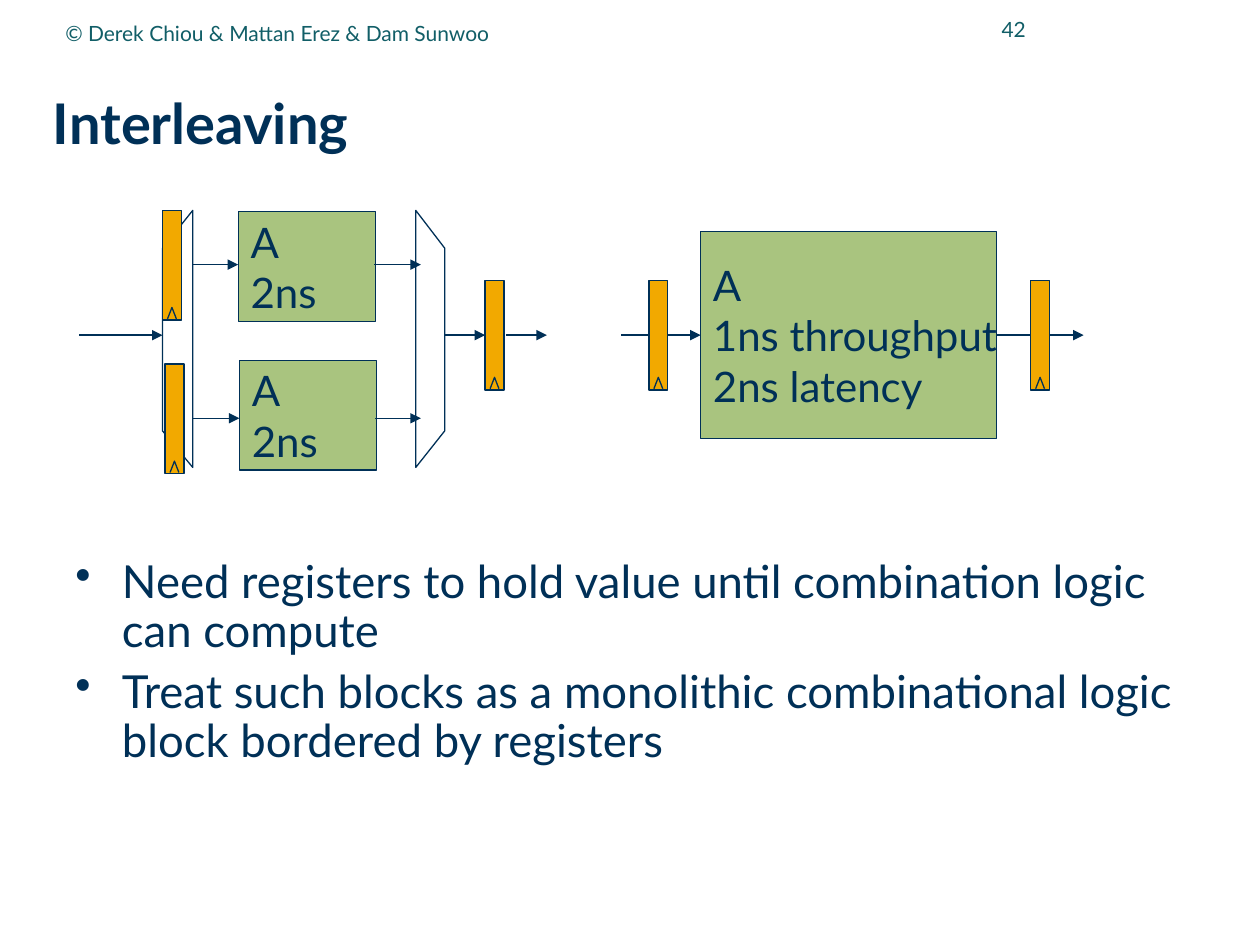
from dataclasses import dataclass
from typing import Optional

from pptx import Presentation, util as u
from pptx.dml.color import RGBColor
from pptx.enum import shapes, text
from pptx.oxml.ns import qn
from lxml import etree

COLORS = {"navy": "003057", "teal": "115E67", "green": "A9C47F", "gold": "F2A900"}
FONT = "Lato"
GRID = u.Inches(0.1)  # 100 columns by 75 rows
AXIS = 26.6           # row of the main data path
REG_W, REG_H = 1.5, 8.7


@dataclass
class Block:
    left: float
    top: float
    width: float
    height: float
    lines: tuple


@dataclass
class Mux:
    tall: float   # column of the tall side
    short: float  # column of the short side


@dataclass
class Wire:
    start: float
    end: float
    row: float = AXIS
    source: Optional[str] = None
    target: Optional[str] = None


BLOCKS = {
    "upper": Block(18.9, 16.8, 10.9, 8.7, ("A", "2ns")),
    "lower": Block(19, 28.6, 10.9, 8.7, ("A", "2ns")),
    "merged": Block(55.6, 18.4, 23.5, 16.4, ("A", "1ns throughput", "2ns latency")),
}
MUXES = [Mux(15.3, 12.9), Mux(33, 35.3)]
OUTPUT_REGISTER = (38.5, AXIS - REG_H / 2)
FRONT_REGISTERS = [(12.9, 16.7), (13.1, 28.9),
                   (51.5, AXIS - REG_H / 2), (81.8, AXIS - REG_H / 2)]
WIRES = [
    Wire(6.3, 12.9),
    Wire(15.3, 18.9, 21), Wire(15.3, 19, 33.2),
    Wire(29.7, 33.4, 21), Wire(29.8, 33.4, 33.2),
    Wire(35.3, 38.5, target="output"), Wire(40.2, 43.4),
    Wire(49.3, 55.6, target="merged"), Wire(79.1, 86, source="merged"),
]
BULLETS = [
    "Need registers to hold value until combination logic can compute",
    "Treat such blocks as a monolithic combinational logic block bordered by registers",
]


def at(*cells: float) -> list:
    return [u.Emu(round(cell * GRID)) for cell in cells]


def rgb(name: str) -> RGBColor:
    return RGBColor.from_string(COLORS[name])


def add_run(paragraph, words: str, size: float, color: str = "navy", bold: bool = False) -> None:
    run = paragraph.add_run()
    run.text = words
    run.font.name, run.font.size, run.font.bold = FONT, u.Pt(size), bold
    run.font.color.rgb = rgb(color)


def outline(shape) -> None:
    shape.line.color.rgb = rgb("navy")
    shape.line.width = u.Pt(0.75)


def add_rect(slide, box: tuple, fill: str):
    rect = slide.shapes.add_shape(shapes.MSO_SHAPE.RECTANGLE, *at(*box))
    rect.shadow.inherit = False
    rect.fill.solid()
    rect.fill.fore_color.rgb = rgb(fill)
    outline(rect)
    return rect


def add_outline(slide, points: list, close: bool) -> None:
    start, *rest = [tuple(at(*point)) for point in points]
    builder = slide.shapes.build_freeform(*start)
    builder.add_line_segments(rest, close=close)
    shape = builder.convert_to_shape()
    shape.shadow.inherit = False
    shape.fill.background()
    outline(shape)


def add_block(slide, block: Block):
    rect = add_rect(slide, (block.left, block.top, block.width, block.height), "green")
    frame = rect.text_frame
    frame.word_wrap = False
    frame.vertical_anchor = text.MSO_ANCHOR.MIDDLE
    for i, words in enumerate(block.lines):
        paragraph = frame.add_paragraph() if i else frame.paragraphs[0]
        paragraph.alignment = text.PP_ALIGN.LEFT
        add_run(paragraph, words, 24)
    return rect


def add_mux(slide, mux: Mux) -> None:
    add_outline(slide, [(mux.tall, 16.7), (mux.short, 19.7),
                        (mux.short, 34.2), (mux.tall, 37.1)], close=True)


def add_register(slide, left: float, top: float):
    rect = add_rect(slide, (left, top, REG_W, REG_H), "gold")
    bottom = top + REG_H - 0.1
    add_outline(slide, [(left + 0.4, bottom), (left + 0.75, bottom - 0.9),
                        (left + 1.1, bottom)], close=False)
    return rect


def add_wire(slide, wire: Wire, parts: dict) -> None:
    line = slide.shapes.add_connector(
        shapes.MSO_CONNECTOR.STRAIGHT, *at(wire.start, wire.row, wire.end, wire.row))
    outline(line)
    if wire.source:
        line.begin_connect(parts[wire.source], 3)
    if wire.target:
        line.end_connect(parts[wire.target], 1)
    etree.SubElement(line.line._get_or_add_ln(), qn("a:tailEnd"), type="triangle")
    etree.SubElement(line._element.spPr, qn("a:effectLst"))


def add_text_frame(slide, box: tuple, anchor):
    frame = slide.shapes.add_textbox(*at(*box)).text_frame
    frame.word_wrap = True
    frame.vertical_anchor = anchor
    return frame


def add_header(slide, box: tuple, words: str, alignment) -> None:
    paragraph = add_text_frame(slide, box, text.MSO_ANCHOR.MIDDLE).paragraphs[0]
    paragraph.alignment = alignment
    add_run(paragraph, words, 12, "teal")


def add_title(slide, words: str) -> None:
    title = slide.shapes.title
    title.left, title.top, title.width, title.height = at(4.2, 5, 94.1, 9.8)
    frame = title.text_frame
    frame.margin_left = frame.margin_right = frame.margin_top = frame.margin_bottom = 0
    frame.auto_size = text.MSO_AUTO_SIZE.NONE
    frame.vertical_anchor = text.MSO_ANCHOR.MIDDLE
    paragraph = frame.paragraphs[0]
    paragraph.alignment = text.PP_ALIGN.LEFT
    paragraph.line_spacing = 0.99
    add_run(paragraph, words, 32, bold=True)


def add_bullets(slide) -> None:
    frame = add_text_frame(slide, (5, 43.9, 93.3, 31), text.MSO_ANCHOR.TOP)
    for i, words in enumerate(BULLETS):
        paragraph = frame.add_paragraph() if i else frame.paragraphs[0]
        props = paragraph._p.get_or_add_pPr()
        indent = u.Inches(0.37)
        props.set("marL", str(indent))
        props.set("indent", str(-indent))
        color = etree.SubElement(props, qn("a:buClr"))
        etree.SubElement(color, qn("a:srgbClr"), val=COLORS["navy"])
        etree.SubElement(props, qn("a:buChar"), char="•")
        paragraph.line_spacing = 0.9
        if i:
            paragraph.space_before = u.Pt(6.5)
        add_run(paragraph, words, 26)


def main() -> None:
    deck = Presentation()
    deck.slide_width, deck.slide_height = at(100, 75)
    slide = deck.slides.add_slide(deck.slide_layouts[5])

    # Title, body and header
    add_title(slide, "Interleaving")
    add_bullets(slide)
    add_header(slide, (73.3, -0.2, 9.1, 5), "42", text.PP_ALIGN.RIGHT)
    add_header(slide, (4.2, 0.3, 56.7, 4.6),
               "© Derek Chiou & Mattan Erez & Dam Sunwoo", text.PP_ALIGN.LEFT)

    # Circuit: logic and muxes, then wires, then the registers over them
    parts = {name: add_block(slide, block) for name, block in BLOCKS.items()}
    for mux in MUXES:
        add_mux(slide, mux)
    parts["output"] = add_register(slide, *OUTPUT_REGISTER)
    for wire in WIRES:
        add_wire(slide, wire, parts)
    for left, top in FRONT_REGISTERS:
        add_register(slide, left, top)

    deck.save("out.pptx")


if __name__ == "__main__":
    main()
